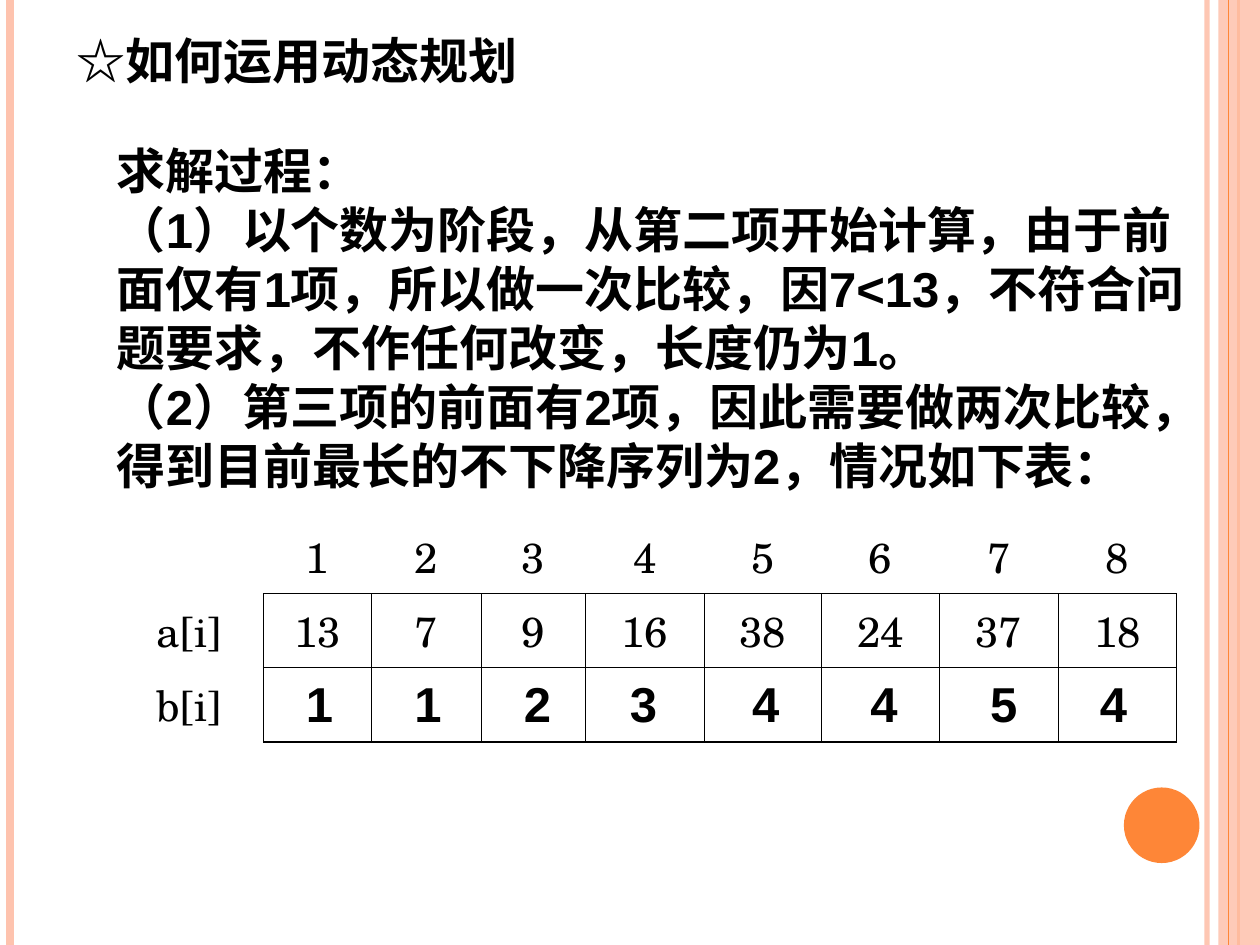
import pptx
import pptx.util
import pptx.dml.color
import pptx.enum.shapes
import pptx.enum.text
import pptx.oxml.ns
from lxml import etree

Inches, Pt = pptx.util.Inches, pptx.util.Pt
RGBColor = pptx.dml.color.RGBColor
MSO_SHAPE = pptx.enum.shapes.MSO_SHAPE
PP_ALIGN, MSO_ANCHOR = pptx.enum.text.PP_ALIGN, pptx.enum.text.MSO_ANCHOR
qn = pptx.oxml.ns.qn

BLACK = RGBColor(0x00, 0x00, 0x00)
WHITE = RGBColor(0xFF, 0xFF, 0xFF)
ORANGE = RGBColor(0xFE, 0x86, 0x37)
PEACH = RGBColor(0xFE, 0xC3, 0xAE)


def write_bold(frame, lines):
    """Fill a text frame with left-aligned bold 28 pt paragraphs."""
    frame.text = "\n".join(lines)
    frame.auto_size = pptx.enum.text.MSO_AUTO_SIZE.NONE
    frame.vertical_anchor = MSO_ANCHOR.TOP
    for para in frame.paragraphs:
        para.alignment = PP_ALIGN.LEFT
        para._p.get_or_add_pPr().set("hangingPunct", "0")
        for span in para.runs:
            span.font.name = "Arial"
            span.font.size = Pt(28)
            span.font.bold = True
            span.font.color.rgb = BLACK


def add_border(cell, side, color, width):
    """Append a border; sides must come in the order L, R, T, B."""
    line = etree.SubElement(cell._tc.get_or_add_tcPr(), qn(f"a:ln{side}"), w=str(Pt(width)))
    fill = etree.SubElement(line, qn("a:solidFill"))
    etree.SubElement(fill, qn("a:srgbClr"), val=str(color))


deck = pptx.Presentation()
deck.slide_width, deck.slide_height = Inches(10), Inches(7.5)
page = deck.slides.add_slide(deck.slide_layouts[5])

# Side stripes; the translucent band covers the 1.5 pt one
stripes = []
for x, color, width in [(9.58, PEACH, 3), (0.08, PEACH, 4.5), (9.83, ORANGE, 1.5), (9.75, ORANGE, 0.75)]:
    stripe = page.shapes.add_connector(
        pptx.enum.shapes.MSO_CONNECTOR.STRAIGHT, Inches(x), 0, Inches(x), Inches(7.5))
    stripe.line.color.rgb = color
    stripe.line.width = Pt(width)
    etree.SubElement(stripe._element.spPr, qn("a:effectLst"))
    stripes.append(stripe)

band = page.shapes.add_shape(MSO_SHAPE.RECTANGLE, Inches(9.67), 0, Inches(0.33), Inches(7.5))
dot = page.shapes.add_shape(MSO_SHAPE.OVAL, Inches(8.92), Inches(6.25), Inches(0.6), Inches(0.6))
for shape, color in [(band, PEACH), (dot, ORANGE)]:
    shape.fill.solid()
    shape.fill.fore_color.rgb = color
    shape.line.fill.background()
    shape.shadow.inherit = False
for shape, alpha in [(band, "87000"), (stripes[0], "93000")]:
    tint = next(shape._element.spPr.iter(qn("a:srgbClr")))
    etree.SubElement(tint, qn("a:alpha"), val=alpha)
stripes[-1]._element.addprevious(band._element)

# Heading and explanation
title = page.shapes.title
title.left, title.top, title.width, title.height = Inches(0.51), Inches(0.19), Inches(4), Inches(0.57)
write_bold(title.text_frame, ["☆如何运用动态规划"])

steps = page.shapes.add_textbox(Inches(0.83), Inches(0.6), Inches(8.82), Inches(3.37))
steps.text_frame.word_wrap = True
write_bold(steps.text_frame, [
    "求解过程：",
    "（1）以个数为阶段，从第二项开始计算，由于前面仅有1项，所以做一次比较，因7<13，不符合问题要求，不作任何改变，长度仍为1。",
    "（2）第三项的前面有2项，因此需要做两次比较，得到目前最长的不下降序列为2，情况如下表：",
])
steps.text_frame.vertical_anchor = MSO_ANCHOR.BOTTOM

# Sequence table: index row, a[i] row, b[i] row
rows = [
    ["", "1", "2", "3", "4", "5", "6", "7", "8"],
    ["a[i]", "13", "7", "9", "16", "38", "24", "37", "18"],
    ["b[i]"] + [""] * 8,
]
column_widths = [1.18, 0.86, 0.87, 0.83, 0.94, 0.93, 0.94, 0.94, 0.94]
table = page.shapes.add_table(3, 9, Inches(0.91), Inches(4.12), Inches(8.43), Inches(1.77)).table
table.first_row = table.horz_banding = False
for column, width in zip(table.columns, column_widths):
    column.width = Inches(width)
for r, texts in enumerate(rows):
    table.rows[r].height = Inches(0.59)
    for c, text in enumerate(texts):
        cell = table.cell(r, c)
        cell.text = text
        cell.vertical_anchor = MSO_ANCHOR.MIDDLE
        para = cell.text_frame.paragraphs[0]
        para.alignment = PP_ALIGN.CENTER
        for span in para.runs:
            span.font.name = "TeX Gyre Schola"
            span.font.size = Pt(24)
            span.font.color.rgb = BLACK

        boxed = r > 0 and c > 0
        add_border(cell, "L", BLACK if boxed else WHITE, 0.45)
        add_border(cell, "R", BLACK if r > 0 else WHITE, 1.08 if boxed and c == 8 else 0.45)
        add_border(cell, "T", BLACK if boxed else WHITE, 0.45)
        add_border(cell, "B", BLACK if c > 0 else WHITE, 1.08 if boxed and r == 2 else 0.45)
        cell.fill.background()

# Lengths found so far, laid over the b[i] row
length_lefts = [2.33, 3.19, 4.06, 4.9, 5.87, 6.81, 7.76, 8.63]
for left, length in zip(length_lefts, "11234454"):
    box = page.shapes.add_textbox(Inches(left), Inches(5.3), Inches(0.41), Inches(0.57))
    write_bold(box.text_frame, [length])
    box.text_frame.word_wrap = False

deck.save("out.pptx")
